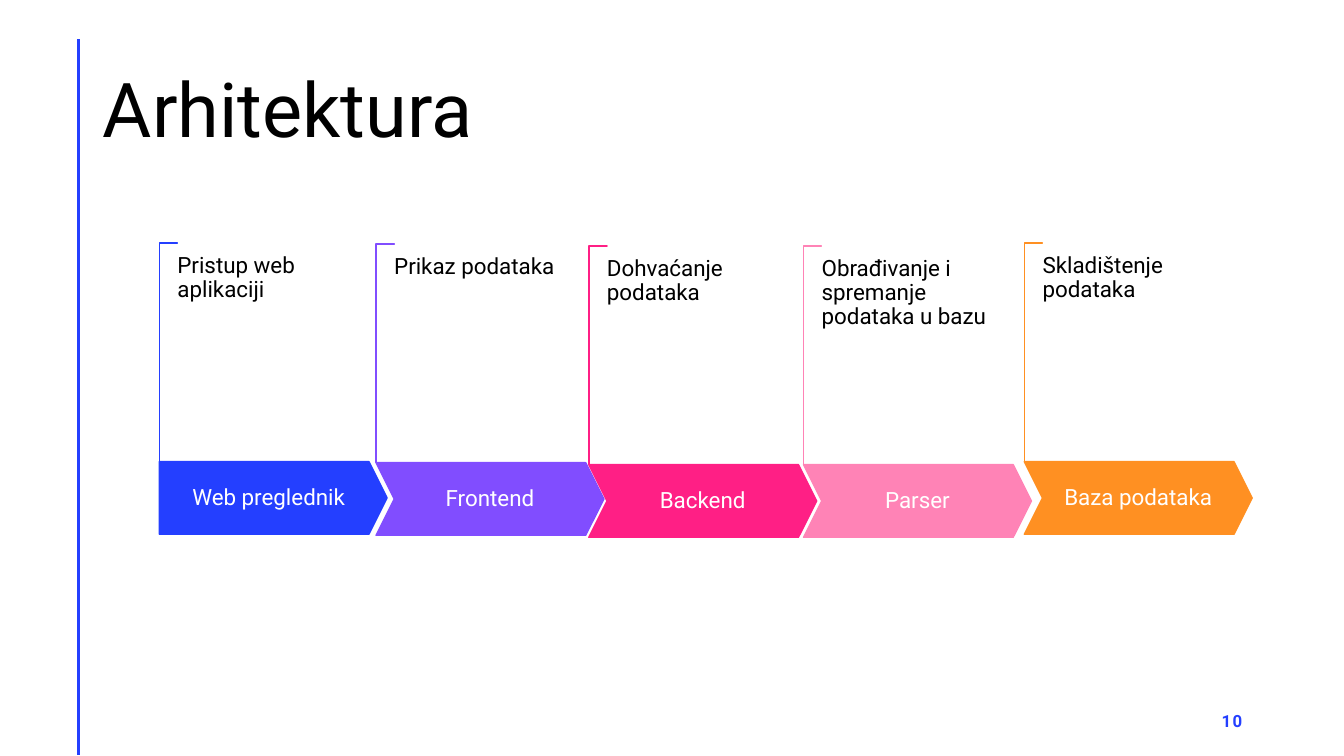
from dataclasses import dataclass

import pptx
import pptx.dml.color
import pptx.enum.shapes
import pptx.enum.text
import pptx.oxml.ns
import pptx.shapes.autoshape
import pptx.slide
import pptx.text.text
import pptx.util
from lxml import etree

Inches = pptx.util.Inches
Shapes = pptx.enum.shapes.MSO_SHAPE
Align = pptx.enum.text.PP_ALIGN
Anchor = pptx.enum.text.MSO_ANCHOR

FONT = "Roboto"
COLORS = {
    "blue": "243FFF",
    "violet": "814DFF",
    "magenta": "FF1F85",
    "pink": "FF83B6",
    "orange": "FF9022",
    "black": "000000",
    "white": "FFFFFF",
}
ARROW_WIDTH, ARROW_HEIGHT = 2.26, 0.72
BRACKET_LENGTH, BRACKET_DEPTH = 2.17, 0.18
BRACKET_RISE, TEXT_RISE = 2.17, 2.06


@dataclass(frozen=True)
class Stage:
    name: str
    description: str
    color: str
    left: float
    top: float


STAGES = [
    Stage("Web preglednik", "Pristup web aplikaciji", "blue", 1.58, 4.58),
    Stage("Frontend", "Prikaz podataka", "violet", 3.73, 4.59),
    Stage("Backend", "Dohvaćanje podataka", "magenta", 5.84, 4.61),
    Stage("Parser", "Obrađivanje i spremanje podataka u bazu", "pink", 7.97, 4.61),
    Stage("Baza podataka", "Skladištenje podataka", "orange", 10.16, 4.58),
]


def rgb(color: str) -> pptx.dml.color.RGBColor:
    return pptx.dml.color.RGBColor.from_string(COLORS[color])


def write_text(
    frame: pptx.text.text.TextFrame,
    text: str,
    size: float,
    color: str,
    align: Align = Align.LEFT,
    anchor: Anchor = Anchor.MIDDLE,
    bold: bool = False,
) -> pptx.text.text.Font:
    frame.text = text
    frame.word_wrap = True
    frame.auto_size = pptx.enum.text.MSO_AUTO_SIZE.NONE
    frame.vertical_anchor = anchor
    paragraph = frame.paragraphs[0]
    paragraph.alignment = align
    paragraph.line_spacing = 0.9
    font = paragraph.runs[0].font
    font.name = FONT
    font.size = pptx.util.Pt(size)
    font.bold = bold
    font.color.rgb = rgb(color)
    return font


def set_margins(frame: pptx.text.text.TextFrame, side: float, vertical: float) -> None:
    frame.margin_left = frame.margin_right = Inches(side)
    frame.margin_top = frame.margin_bottom = Inches(vertical)


def add_outlined_shape(
    slide: pptx.slide.Slide,
    kind: Shapes,
    box: tuple[float, float, float, float],
    adjustments: list[float],
    fill: str,
    line: str,
) -> pptx.shapes.autoshape.Shape:
    shape = slide.shapes.add_shape(kind, *map(Inches, box))
    for index, value in enumerate(adjustments):
        shape.adjustments[index] = value
    shape.shadow.inherit = False
    shape.fill.solid()
    shape.fill.fore_color.rgb = rgb(fill)
    shape.line.color.rgb = rgb(line)
    shape.line.width = pptx.util.Pt(1)
    return shape


def add_stage(slide: pptx.slide.Slide, stage: Stage, kind: Shapes) -> None:
    bracket_left = stage.left + (BRACKET_DEPTH - BRACKET_LENGTH) / 2
    bracket_top = stage.top - BRACKET_RISE + (BRACKET_LENGTH - BRACKET_DEPTH) / 2
    bracket = add_outlined_shape(
        slide,
        Shapes.CORNER,
        (bracket_left, bracket_top, BRACKET_LENGTH, BRACKET_DEPTH),
        [0.01, 0.01],
        "white",
        stage.color,
    )
    bracket.rotation = 90

    arrow = add_outlined_shape(
        slide,
        kind,
        (stage.left, stage.top, ARROW_WIDTH, ARROW_HEIGHT),
        [0.25],
        stage.color,
        stage.color,
    )
    write_text(arrow.text_frame, stage.name, 16, "white", Align.CENTER)
    set_margins(arrow.text_frame, 0.11, 0.05)

    description = slide.shapes.add_textbox(
        Inches(stage.left + BRACKET_DEPTH),
        Inches(stage.top - TEXT_RISE),
        Inches(1.83),
        Inches(1.55),
    )
    write_text(description.text_frame, stage.description, 16, "black", anchor=Anchor.TOP)
    set_margins(description.text_frame, 0, 0)


def add_side_line(slide: pptx.slide.Slide) -> None:
    line = slide.shapes.add_connector(
        pptx.enum.shapes.MSO_CONNECTOR.STRAIGHT,
        Inches(0.78), Inches(0.39), Inches(0.78), Inches(7.49),
    )
    line.line.color.rgb = rgb("blue")
    line.line.width = pptx.util.Pt(2)
    etree.SubElement(line._element.spPr, pptx.oxml.ns.qn("a:effectLst"))


def add_title(slide: pptx.slide.Slide) -> None:
    title = slide.shapes.title
    title.left, title.top = Inches(0.92), Inches(0.4)
    title.width, title.height = Inches(11.5), Inches(1.45)
    write_text(title.text_frame, "Arhitektura", 54, "black")


def add_slide_number(slide: pptx.slide.Slide) -> None:
    number = slide.shapes.add_textbox(Inches(9.42), Inches(6.95), Inches(3), Inches(0.4))
    font = write_text(number.text_frame, "10", 12, "blue", Align.RIGHT, bold=True)
    number.text_frame.paragraphs[0].line_spacing = 1.0
    number.text_frame.paragraphs[0].space_after = pptx.util.Pt(6)
    font._element.set("spc", "100")


def main() -> None:
    presentation = pptx.Presentation()
    presentation.slide_width = Inches(13.33)
    presentation.slide_height = Inches(7.5)
    slide = presentation.slides.add_slide(presentation.slide_layouts.get_by_name("Title Only"))
    add_side_line(slide)
    add_title(slide)
    add_slide_number(slide)
    for index, stage in enumerate(STAGES):
        add_stage(slide, stage, Shapes.CHEVRON if index else Shapes.PENTAGON)
    presentation.save("out.pptx")


if __name__ == "__main__":
    main()
